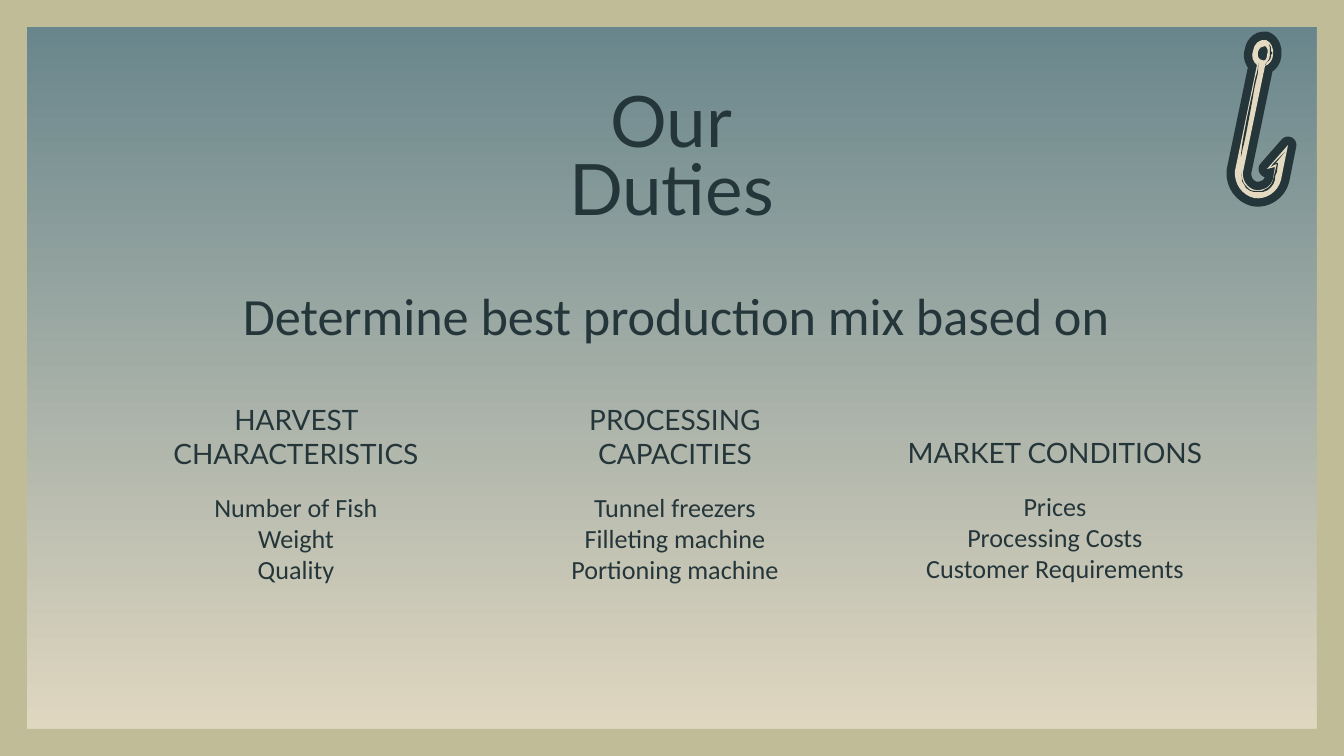
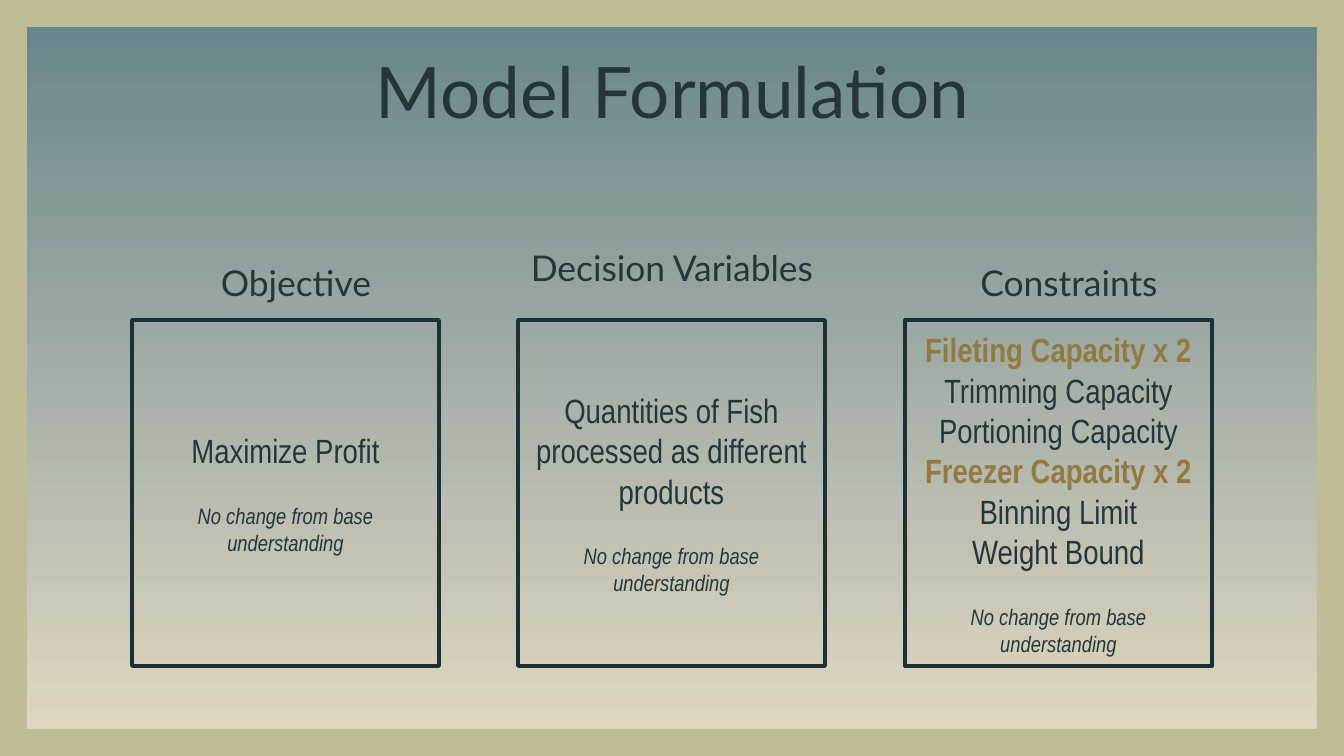
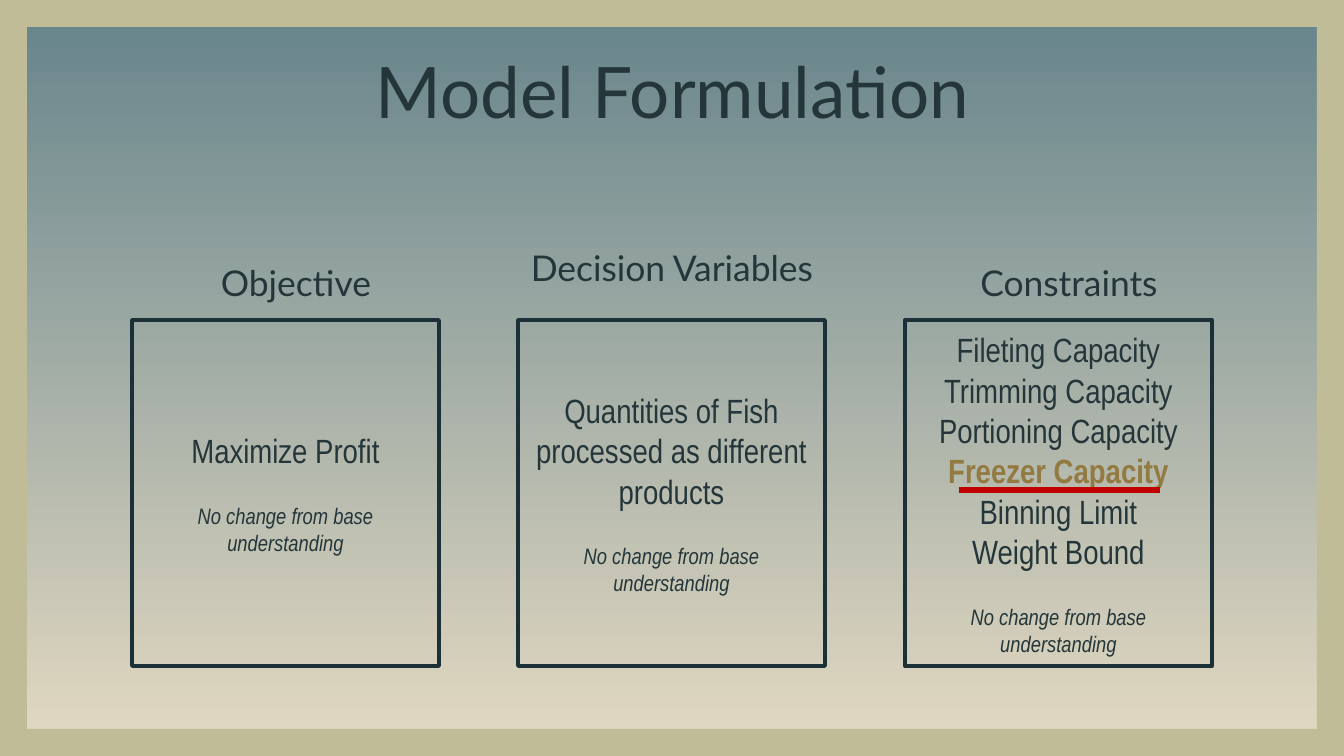
from dataclasses import dataclass

from lxml.etree import SubElement
from pptx import Presentation
from pptx.dml.color import RGBColor
from pptx.enum.shapes import MSO_CONNECTOR, MSO_SHAPE
from pptx.enum.text import MSO_ANCHOR as ANCHOR, MSO_AUTO_SIZE, PP_ALIGN
from pptx.oxml.ns import qn
from pptx.shapes.autoshape import Shape
from pptx.slide import Slide
from pptx.text.text import TextFrame
from pptx.util import Emu, Pt

WIDTH, HEIGHT = 1344, 756
EMU_PER_PX = 9144000 / WIDTH

INK, PANEL_EDGE, HIGHLIGHT = "24363A", "1C3037", "927A41"
SKY, CREAM, BORDER, RED = "65838B", "E4DAC2", "C0BC97", "C00000"
HEADING_FONT, BODY_FONT, PANEL_FONT = "Lato", "Calibri", "Arial Narrow"
BORDER_WIDTH = 27
INSET = 13
COLUMN_WIDTH = 308
COMPARISON_LAYOUT = 4


@dataclass(frozen=True)
class Box:
    left: int
    top: int
    width: int
    height: int

    def emu(self) -> tuple[Emu, Emu, Emu, Emu]:
        return px(self.left), px(self.top), px(self.width), px(self.height)


@dataclass(frozen=True)
class Duty:
    heading: str
    items: tuple[str, ...]
    rise: int = 0


@dataclass(frozen=True)
class Panel:
    heading: str
    lines: tuple[str, ...]
    highlighted: tuple[str, ...] = ()


DUTIES = (
    Duty("HARVEST CHARACTERISTICS", ("Number of Fish", "Weight", "Quality")),
    Duty("PROCESSING CAPACITIES",
         ("Tunnel freezers", "Filleting machine", "Portioning machine")),
    Duty("MARKET CONDITIONS",
         ("Prices", "Processing Costs", "Customer Requirements"), rise=1),
)
OBJECTIVE = Panel("Objective", ("Maximize Profit",))
VARIABLES = Panel("Decision Variables",
                  ("Quantities of Fish processed as different products",))


def constraints(fileting: str, freezer: str, highlighted: tuple[str, ...]) -> Panel:
    lines = (fileting, "Trimming Capacity", "Portioning Capacity", freezer,
             "Binning Limit", "Weight Bound")
    return Panel("Constraints", lines, highlighted)


# Each contour starts with a point; later pairs are lines, sextuples are curves.
HOOK_BODY = (
    ((1265, 46), (1267, 47, 1269, 51, 1267, 55), (1267, 59, 1265, 62, 1262, 60),
     (1259, 60, 1257, 56, 1258, 52), (1259, 48, 1262, 46, 1265, 46)),
    ((1266, 40), (1259, 39, 1254, 44, 1253, 51), (1251, 56, 1253, 62, 1257, 65),
     (1235, 171), (1234, 184, 1242, 195, 1254, 198),
     (1266, 200, 1278, 192, 1281, 180), (1288, 145), (1267, 169), (1275, 167),
     (1273, 179), (1271, 187, 1263, 191, 1255, 190),
     (1247, 188, 1242, 180, 1243, 172), (1265, 66),
     (1269, 65, 1273, 60, 1273, 55), (1274, 48, 1271, 42, 1266, 40)),
)
HOOK_BARB = (
    ((1285, 152), (1273, 164), (1271, 167), (1274, 165), (1274, 165), (1277, 164),
     (1275, 172),
     (1274, 175, 1274, 177, 1273, 180), (1273, 183, 1271, 184, 1269, 187),
     (1267, 188, 1265, 190, 1262, 191), (1261, 191, 1259, 191, 1258, 191),
     (1257, 191, 1255, 191, 1254, 191), (1251, 191, 1250, 190, 1247, 187),
     (1243, 184, 1241, 177, 1242, 172), (1242, 172),
     (1242, 175, 1242, 177, 1242, 181),
     (1243, 183, 1245, 185, 1246, 188), (1249, 190, 1251, 192, 1254, 192),
     (1255, 192, 1257, 192, 1258, 192), (1259, 192, 1262, 192, 1263, 192),
     (1269, 191, 1274, 185, 1275, 180), (1275, 177, 1275, 175, 1277, 172),
     (1278, 164), (1278, 163), (1277, 163), (1275, 164), (1275, 164), (1285, 152)),
)
HOOK_SHANK = (
    ((1259, 63), (1259, 63, 1258, 67, 1257, 73), (1255, 78, 1254, 85, 1253, 91),
     (1251, 98, 1242, 142, 1242, 148), (1241, 153, 1241, 157, 1241, 157),
     (1241, 157, 1242, 153, 1243, 148), (1245, 142, 1253, 98, 1254, 91),
     (1255, 85, 1257, 78, 1258, 73), (1258, 67, 1259, 63, 1259, 63)),
)
HOOK_EYE = (
    ((1269, 44), (1269, 44), (1269, 44, 1269, 46, 1270, 47),
     (1270, 48, 1270, 50, 1270, 51),
     (1270, 52, 1270, 54, 1270, 55), (1270, 58, 1269, 60, 1267, 62),
     (1266, 63, 1265, 65, 1265, 65), (1265, 65, 1266, 65, 1267, 62),
     (1270, 60, 1271, 59, 1271, 55), (1273, 54, 1273, 52, 1271, 51),
     (1271, 50, 1271, 48, 1271, 47), (1270, 46, 1269, 44, 1269, 44)),
)


def px(length: int) -> Emu:
    return Emu(round(length * EMU_PER_PX))


def rgb(color: str) -> RGBColor:
    return RGBColor.from_string(color)


def place(shape: Shape, box: Box) -> Shape:
    shape.left, shape.top, shape.width, shape.height = box.emu()
    return shape


def open_frame(shape: Shape, anchor: ANCHOR = ANCHOR.TOP,
               inset_x: int = INSET, inset_y: int = INSET) -> TextFrame:
    """Set wrapping, anchor and insets, and return the frame for add_text."""
    frame = shape.text_frame
    frame.word_wrap = True
    frame.auto_size = MSO_AUTO_SIZE.NONE
    frame.vertical_anchor = anchor
    frame.margin_left = frame.margin_right = px(inset_x)
    frame.margin_top = frame.margin_bottom = px(inset_y)
    return frame


def add_text(frame: TextFrame, text: str, *, size: int, font: str = BODY_FONT,
             color: str = INK, bold: bool = False, italic: bool = False,
             line_spacing: float = 1.0, space_before: int = 0,
             margin: int = 0, indent: int = 0) -> None:
    """Append one centred paragraph; a vertical tab in text breaks the line."""
    paragraph = frame.paragraphs[0]
    if paragraph.runs:
        paragraph = frame.add_paragraph()
    paragraph.text = text
    properties = paragraph._p.get_or_add_pPr()
    properties.set("marL", str(px(margin)))
    properties.set("indent", str(px(indent)))
    SubElement(properties, qn("a:buNone"))
    paragraph.alignment = PP_ALIGN.CENTER
    paragraph.line_spacing = line_spacing
    paragraph.space_before = Pt(space_before)
    for line_break in paragraph._p.findall(qn("a:br")):
        SubElement(line_break, qn("a:rPr")).set("sz", str(size * 100))
    for run in paragraph.runs:
        run.font.name = font
        run.font.size = Pt(size)
        run.font.bold = bold
        run.font.italic = italic
        run.font.color.rgb = rgb(color)


def add_rectangle(slide: Slide, box: Box) -> Shape:
    shape = slide.shapes.add_shape(MSO_SHAPE.RECTANGLE, *box.emu())
    shape.shadow.inherit = False
    shape.line.fill.background()
    return shape


def add_background(presentation: Presentation, slide: Slide) -> None:
    """Draw the gradient and border, then move them to the slide master."""
    backdrop = add_rectangle(slide, Box(0, 0, WIDTH, HEIGHT))
    backdrop.fill.gradient()
    backdrop.fill.gradient_angle = 270
    for stop, position, color in zip(backdrop.fill.gradient_stops, (0, 1), (SKY, CREAM)):
        stop.position = position
        stop.color.rgb = rgb(color)
    shapes = [backdrop]
    for box in (Box(0, 0, BORDER_WIDTH, HEIGHT),
                Box(WIDTH - BORDER_WIDTH, 0, BORDER_WIDTH, HEIGHT),
                Box(0, 0, WIDTH, BORDER_WIDTH),
                Box(0, HEIGHT - BORDER_WIDTH, WIDTH, BORDER_WIDTH)):
        bar = add_rectangle(slide, box)
        bar.fill.solid()
        bar.fill.fore_color.rgb = rgb(BORDER)
        shapes.append(bar)
    tree = presentation.slide_master.shapes.element
    for position, shape in enumerate(shapes, start=2):
        tree.insert(position, shape.element)


def add_title(slide: Slide, text: str, box: Box) -> None:
    frame = open_frame(place(slide.shapes.title, box))
    add_text(frame, text, size=38, font=HEADING_FONT, line_spacing=0.8)


def contour_points(contour: tuple) -> list[tuple[Emu, Emu]]:
    """List every end point and control point of a contour."""
    return [(px(segment[i]), px(segment[i + 1]))
            for segment in contour for i in range(0, len(segment), 2)]


def bend_curves(shape: Shape, contours: tuple) -> None:
    """Join the three lines through each curve's points into one cubic curve."""
    lines = iter(list(shape.element.iter(qn("a:lnTo"))))
    for contour in contours:
        for segment in contour[1:]:
            line = next(lines)
            if len(segment) == 2:
                continue
            curve = line.makeelement(qn("a:cubicBezTo"))
            line.addprevious(curve)
            for part in (line, next(lines), next(lines)):
                curve.append(part[0])
                part.getparent().remove(part)


def add_outline(slide: Slide, contours: tuple, color: str, edge: int) -> None:
    """Draw closed contours as one freeform, with an edge in points if not 0."""
    first, *others = [contour_points(contour) for contour in contours]
    builder = slide.shapes.build_freeform(*first[0])
    builder.add_line_segments(first[1:], close=True)
    for points in others:
        builder.move_to(*points[0])
        builder.add_line_segments(points[1:], close=True)
    shape = builder.convert_to_shape()
    bend_curves(shape, contours)
    shape.shadow.inherit = False
    shape.fill.solid()
    shape.fill.fore_color.rgb = rgb(color)
    if edge:
        shape.line.color.rgb = rgb(color)
        shape.line.width = Pt(edge)
    else:
        shape.line.fill.background()


def add_hook(slide: Slide) -> None:
    for body_color, edge in ((INK, 9), (CREAM, 0)):
        add_outline(slide, HOOK_BODY, body_color, edge)
        for detail in (HOOK_BARB, HOOK_SHANK, HOOK_EYE):
            add_outline(slide, detail, INK, edge)


def add_duties_slide(slide: Slide) -> None:
    add_title(slide, "Our\vDuties", Box(201, 80, 941, 165))
    add_hook(slide)
    lead = slide.shapes.add_textbox(*Box(190, 270, 972, 91).emu())
    add_text(open_frame(lead), "Determine best production mix based on", size=28)

    for column, duty in enumerate(DUTIES):
        offset = 759 * column // 2
        heading_box = Box(118 + offset, 402 - duty.rise, 356, 81)
        list_box = Box(142 + offset, 478 - duty.rise, COLUMN_WIDTH, 116)
        if column < 2:
            heading = place(slide.placeholders[2 * column + 1], heading_box)
            items = place(slide.placeholders[2 * column + 2], list_box)
        else:
            heading = slide.shapes.add_textbox(*heading_box.emu())
            items = slide.shapes.add_textbox(*list_box.emu())
        add_text(open_frame(heading, ANCHOR.BOTTOM), duty.heading,
                 size=15, font=HEADING_FONT)
        frame = open_frame(items)
        for item in duty.items:
            add_text(frame, item, size=14)


def add_panel(slide: Slide, panel: Panel, left: int) -> None:
    shape = add_rectangle(slide, Box(left, 320, COLUMN_WIDTH - 1, 346))
    shape.fill.background()
    shape.line.color.rgb = rgb(PANEL_EDGE)
    shape.line.width = Pt(2)
    frame = open_frame(shape, ANCHOR.MIDDLE, inset_y=7)
    for line in panel.lines:
        marked = line in panel.highlighted
        add_text(frame, line, size=18, font=PANEL_FONT, bold=marked,
                 color=HIGHLIGHT if marked else INK)
    add_text(frame, "No change from base understanding", size=12,
             font=PANEL_FONT, italic=True, space_before=17)


def add_model_slide(slide: Slide, limits: Panel) -> None:
    add_title(slide, "Model Formulation", Box(213, 51, 919, 165))
    lefts = [132 + 773 * column // 2 for column in range(3)]

    for panel, left, index in ((OBJECTIVE, lefts[0], 1), (limits, lefts[2], 3)):
        heading = place(slide.placeholders[index], Box(left, 218, COLUMN_WIDTH, 99))
        add_text(open_frame(heading, ANCHOR.BOTTOM), panel.heading, size=19,
                 font=HEADING_FONT, margin=67, indent=-47)
    middle = slide.shapes.add_textbox(*Box(lefts[1], 224, COLUMN_WIDTH, 86).emu())
    add_text(open_frame(middle, ANCHOR.MIDDLE, 0, 0), VARIABLES.heading,
             size=19, font=HEADING_FONT)

    for panel, left in zip((OBJECTIVE, VARIABLES, limits), lefts):
        add_panel(slide, panel, left)
    for index in (2, 4):
        unused = slide.placeholders[index].element
        unused.getparent().remove(unused)


def add_underline(slide: Slide, left: int, right: int, y: int) -> None:
    line = slide.shapes.add_connector(MSO_CONNECTOR.STRAIGHT,
                                      px(left), px(y), px(right), px(y))
    line.line.color.rgb = rgb(RED)
    line.line.width = Pt(3)
    SubElement(line.element.spPr, qn("a:effectLst"))


def main() -> None:
    presentation = Presentation()
    presentation.slide_width, presentation.slide_height = px(WIDTH), px(HEIGHT)
    layout = presentation.slide_layouts[COMPARISON_LAYOUT]
    duties, doubled, single = [presentation.slides.add_slide(layout) for _ in range(3)]

    add_background(presentation, duties)
    add_duties_slide(duties)
    fileting, freezer = "Fileting Capacity", "Freezer Capacity"
    fileting_twice, freezer_twice = f"{fileting} x 2", f"{freezer} x 2"
    add_model_slide(doubled, constraints(fileting_twice, freezer_twice,
                                         (fileting_twice, freezer_twice)))
    add_model_slide(single, constraints(fileting, freezer, (freezer,)))
    add_underline(single, 959, 1160, 490)
    presentation.save("out.pptx")


if __name__ == "__main__":
    main()
